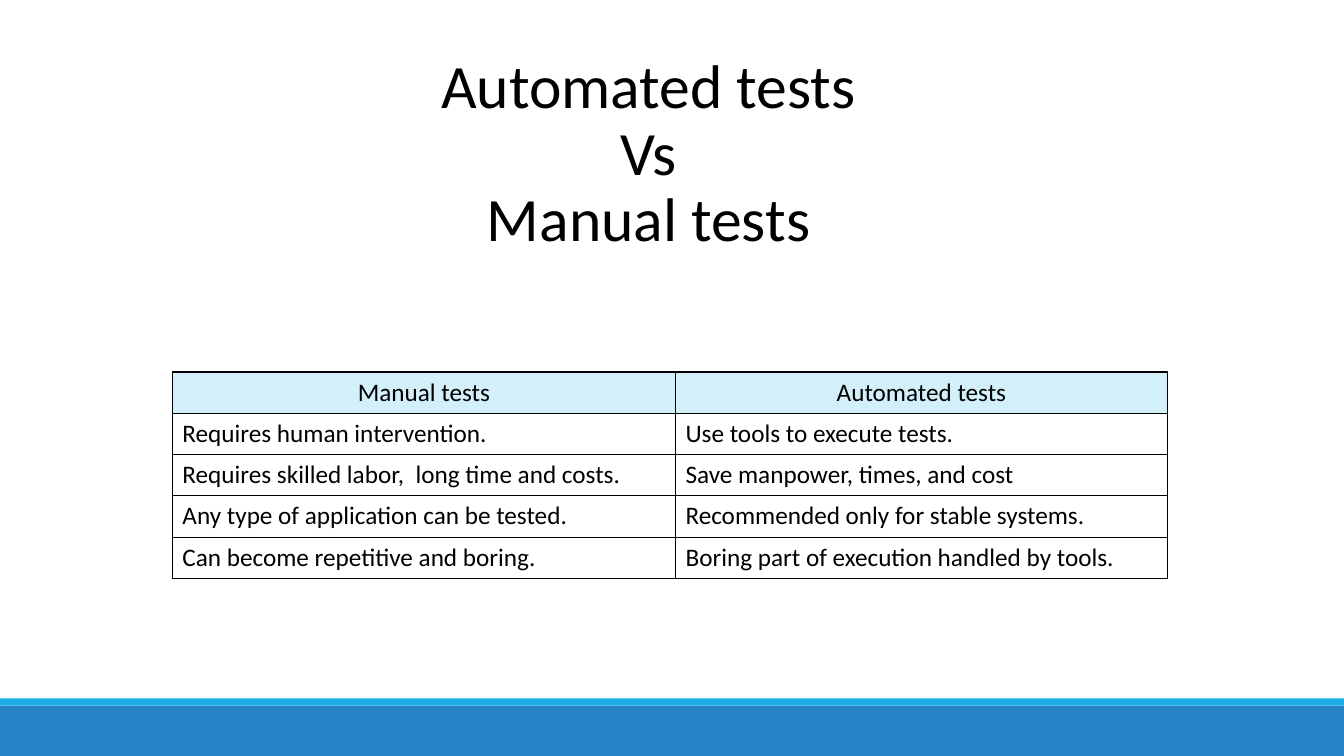
import pptx
import pptx.util
import pptx.dml.color
import pptx.enum.shapes
import pptx.enum.text
import pptx.oxml
import pptx.oxml.ns

Inches = pptx.util.Inches
Pt = pptx.util.Pt
RGBColor = pptx.dml.color.RGBColor
CENTER = pptx.enum.text.PP_ALIGN.CENTER
LEFT = pptx.enum.text.PP_ALIGN.LEFT

BLACK = RGBColor(0x00, 0x00, 0x00)
BLUE = RGBColor(0x26, 0x83, 0xC6)
CYAN = RGBColor(0x1C, 0xAD, 0xE4)
PALE_BLUE = RGBColor(0xD2, 0xEF, 0xFA)
FONT = "Calibri"

TITLE = ["Automated tests", "Vs", "Manual tests"]
COMPARISON = [
    ("Manual tests", "Automated tests"),
    ("Requires human intervention.", "Use tools to execute tests."),
    ("Requires skilled labor,  long time and costs.", "Save manpower, times, and cost"),
    ("Any type of application can be tested.", "Recommended only for stable systems."),
    ("Can become repetitive and boring.", "Boring part of execution handled by tools."),
]
COLUMN_WIDTHS = [4.99, 4.88]
ROW_HEIGHT = 0.41


def add_run(p, text, size, align):
    p.alignment = align
    r = p.add_run()
    r.text = text
    r.font.name = FONT
    r.font.size = Pt(size)
    r.font.color.rgb = BLACK


def add_band(s, top, height, color):
    sp = s.shapes.add_shape(
        pptx.enum.shapes.MSO_SHAPE.RECTANGLE,
        Inches(0), Inches(top), Inches(13.33), Inches(height))
    sp.shadow.inherit = False
    sp.fill.solid()
    sp.fill.fore_color.rgb = color
    sp.line.fill.background()


def add_title(s, lines):
    tf = s.shapes.add_textbox(
        Inches(3.52), Inches(0.5), Inches(5.83), Inches(2.43)).text_frame
    tf.word_wrap = True
    for i, line in enumerate(lines):
        p = tf.add_paragraph() if i else tf.paragraphs[0]
        p.line_spacing = 0.9
        add_run(p, line, 44, CENTER)


def set_borders(cell):
    tc_pr = cell._tc.get_or_add_tcPr()
    for i, side in enumerate(("lnL", "lnR", "lnT", "lnB")):
        tc_pr.insert(i, pptx.oxml.parse_xml(
            f'<a:{side} {pptx.oxml.ns.nsdecls("a")} w="{Pt(1)}"><a:solidFill>'
            f'<a:srgbClr val="{BLACK}"/></a:solidFill></a:{side}>'))


def add_comparison(s, rows):
    table = s.shapes.add_table(
        len(rows), len(COLUMN_WIDTHS), Inches(1.71), Inches(3.69),
        Inches(sum(COLUMN_WIDTHS)), Inches(ROW_HEIGHT * len(rows))).table
    table.horz_banding = False
    for column, width in zip(table.columns, COLUMN_WIDTHS):
        column.width = Inches(width)
    for i, texts in enumerate(rows):
        table.rows[i].height = Inches(ROW_HEIGHT)
        for j, text in enumerate(texts):
            cell = table.cell(i, j)
            p = cell.text_frame.paragraphs[0]
            add_run(p, text, 18, LEFT if i else CENTER)
            p.runs[0].font.bold = False
            if i:
                cell.fill.background()
            else:
                cell.fill.solid()
                cell.fill.fore_color.rgb = PALE_BLUE
            set_borders(cell)


def main():
    prs = pptx.Presentation()
    prs.slide_width = Inches(13.33)
    prs.slide_height = Inches(7.5)
    s = prs.slides.add_slide(prs.slide_layouts[6])
    add_band(s, 7, 0.5, BLUE)
    add_band(s, 6.93, 0.07, CYAN)
    add_title(s, TITLE)
    add_comparison(s, COMPARISON)
    prs.save("out.pptx")


if __name__ == "__main__":
    main()
